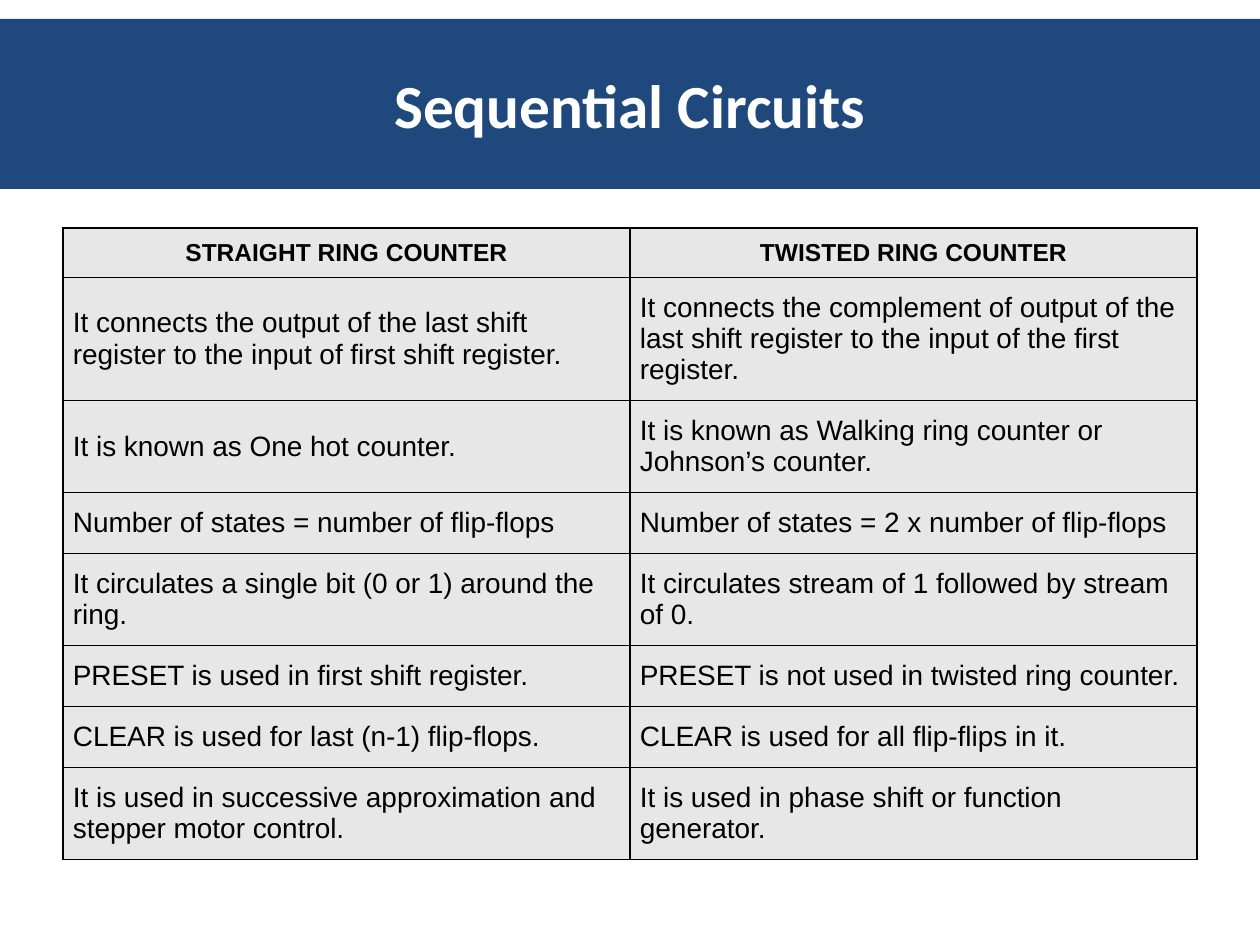
from lxml import etree
from pptx import Presentation
from pptx.dml.color import RGBColor
from pptx.enum import text
from pptx.oxml import ns
from pptx.util import Cm, Pt

NAVY, GREY, BLACK, WHITE = "1F497D", "E7E7E7", "000000", "FFFFFF"
LINE_HEIGHT, ROW_PADDING, HEADER_HEIGHT = 0.62, 0.61, 0.99

HEADINGS = ("STRAIGHT RING COUNTER", "TWISTED RING COUNTER")
# Straight ring counter, twisted ring counter, lines of text in the row
COMPARISONS = [
    ("It connects the output of the last shift register to the input of first shift register.",
     "It connects the complement of output of the last shift register to the input of the first register.", 3),
    ("It is known as One hot counter.",
     "It is known as Walking ring counter or Johnson’s counter.", 2),
    ("Number of states = number of flip-flops",
     "Number of states = 2 x number of flip-flops", 1),
    ("It circulates a single bit (0 or 1) around the ring.",
     "It circulates stream of 1 followed by stream of 0.", 2),
    ("PRESET is used in first shift register.",
     "PRESET is not used in twisted ring counter.", 1),
    ("CLEAR is used for last (n-1) flip-flops.",
     "CLEAR is used for all flip-flips in it.", 1),
    ("It is used in successive approximation and stepper motor control.",
     "It is used in phase shift or function generator.", 2),
]


def set_color(color_format, color):
    color_format.rgb = RGBColor.from_string(color)


def set_fill(target, color):
    target.fill.solid()
    set_color(target.fill.fore_color, color)


def set_attributes(target, values):
    for name, value in values.items():
        setattr(target, name, value)


def write(paragraph, words, color, align, **font):
    paragraph.text = words
    paragraph.alignment = align
    set_attributes(paragraph.runs[0].font, font)
    set_color(paragraph.runs[0].font.color, color)


def set_borders(cell, color, width):
    properties = cell._tc.get_or_add_tcPr()
    for side in ("lnL", "lnR", "lnT", "lnB"):
        line = etree.SubElement(properties, ns.qn(f"a:{side}"), w=str(Pt(width)))
        solid = etree.SubElement(line, ns.qn("a:solidFill"))
        etree.SubElement(solid, ns.qn("a:srgbClr"), val=color)


def add_banner(slide, left, top, width, height):
    banner = slide.shapes.title
    set_attributes(banner, {"left": Cm(left), "top": Cm(top),
                            "width": Cm(width), "height": Cm(height)})
    set_fill(banner, NAVY)
    set_attributes(banner.text_frame, {
        "vertical_anchor": text.MSO_ANCHOR.MIDDLE,
        "auto_size": text.MSO_AUTO_SIZE.NONE,
        "word_wrap": True,
    })
    write(banner.text_frame.paragraphs[0], "Sequential Circuits", WHITE,
          text.PP_ALIGN.CENTER, name="Calibri", size=Pt(35), bold=True)


def fill_cell(cell, words, is_header):
    margin = Cm(0.2 if is_header else 0.3)
    set_attributes(cell, {
        "margin_left": Cm(0.2), "margin_right": Cm(0.2),
        "margin_top": margin, "margin_bottom": margin,
        "vertical_anchor": text.MSO_ANCHOR.MIDDLE,
    })
    set_borders(cell, BLACK, 1)
    set_fill(cell, GREY)
    align = text.PP_ALIGN.CENTER if is_header else text.PP_ALIGN.LEFT
    write(cell.text_frame.paragraphs[0], words, BLACK, align, name="Arial",
          size=Pt(14 if is_header else 16), bold=is_header)


def add_comparison(slide, left, top, width):
    heights = [HEADER_HEIGHT] + [lines * LINE_HEIGHT + ROW_PADDING
                                 for *_, lines in COMPARISONS]
    rows = [HEADINGS] + [pair for *pair, _ in COMPARISONS]
    counters = slide.shapes.add_table(len(rows), len(HEADINGS), Cm(left), Cm(top),
                                      Cm(width), Cm(sum(heights))).table
    set_attributes(counters, {"first_row": True, "horz_banding": False})
    for r, (pair, height) in enumerate(zip(rows, heights)):
        counters.rows[r].height = Cm(height)
        for c, words in enumerate(pair):
            fill_cell(counters.cell(r, c), words, r == 0)


def main():
    deck = Presentation()
    set_attributes(deck, {"slide_width": Cm(25.4), "slide_height": Cm(19.05)})
    slide = deck.slides.add_slide(deck.slide_layouts.get_by_name("Title Only"))
    add_banner(slide, 0, 0.38, 25.4, 3.43)
    add_comparison(slide, 1.27, 4.6, 22.86)
    deck.save("out.pptx")


if __name__ == "__main__":
    main()
